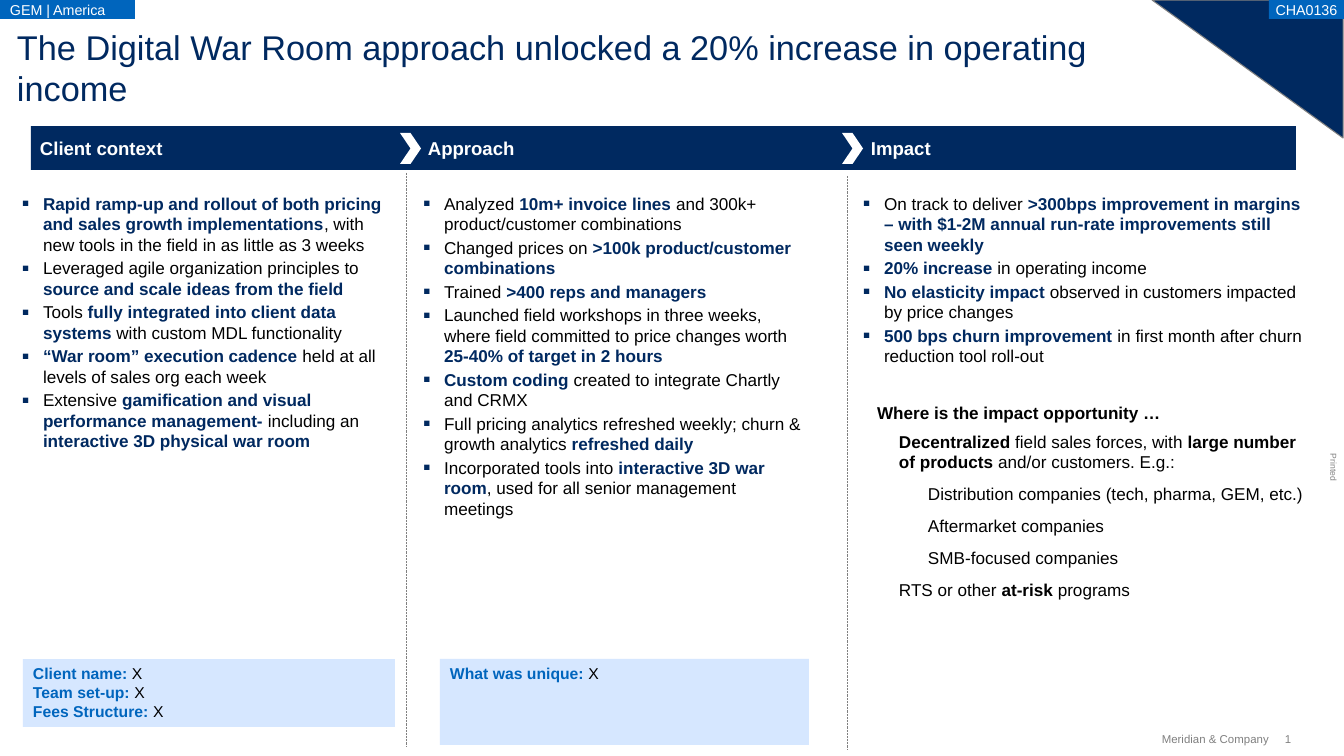
from dataclasses import dataclass

from lxml.etree import SubElement
from pptx import Presentation
from pptx.dml.color import RGBColor
from pptx.enum.dml import MSO_LINE
from pptx.enum.shapes import MSO_CONNECTOR, MSO_SHAPE
from pptx.enum.text import MSO_ANCHOR, PP_ALIGN
from pptx.oxml.ns import qn
from pptx.util import Pt

PX = 8890
NAVY, BLUE, PALE = "002960", "0065BD", "D6E7FF"
BLACK, WHITE, GREY = "000000", "FFFFFF", "808080"


@dataclass
class Box:
    left: int
    top: int
    width: int
    height: int

    def emu(self) -> list[int]:
        return [value * PX for value in (self.left, self.top, self.width, self.height)]


@dataclass
class Column:
    heading: str
    heading_left: int
    heading_width: int
    body: Box
    bullets: list[str]


@dataclass
class Divider:
    chevron_left: int
    line_left: int
    line_top: int
    line_bottom: int


@dataclass
class Note:
    box: Box
    lines: list[str]


@dataclass
class Tag:
    box: Box
    text: str
    align: PP_ALIGN


COLUMNS = [
    Column("Client context", 40, 299, Box(22, 193, 370, 262), [
        "**Rapid ramp-up and rollout of both pricing and sales growth implementations**"
        ", with new tools in the field in as little as 3 weeks",
        "Leveraged agile organization principles to **source and scale ideas from the field**",
        "Tools** fully integrated into client data systems **with custom MDL functionality",
        "**“War room” execution cadence **held at all levels of sales org each week",
        "Extensive **gamification and visual performance management- **including an "
        "**interactive 3D physical war room**",
    ]),
    Column("Approach", 428, 359, Box(423, 193, 387, 331), [
        "Analyzed **10m+ invoice lines **and 300k+ product/customer combinations",
        "Changed prices on **>100k product/customer combinations**",
        "Trained **>400 reps and managers**",
        "Launched field workshops in three weeks, where field committed to price changes "
        "worth **25-40% of target in 2 hours**",
        "**Custom coding **created to integrate Chartly and CRMX",
        "Full pricing analytics refreshed weekly; churn & growth analytics **refreshed daily**",
        "Incorporated tools into** interactive 3D war room**"
        ", used for all senior management meetings",
    ]),
    Column("Impact", 871, 326, Box(863, 193, 442, 176), [
        "On track to deliver **>300bps improvement in margins – with $1-2M annual run-rate "
        "improvements still seen weekly**",
        "**20% increase **in operating income",
        "**No elasticity impact **observed in customers impacted by price changes",
        "**500 bps churn improvement **in first month after churn reduction tool roll-out",
    ]),
]
DIVIDERS = [Divider(400, 406, 173, 746), Divider(842, 847, 176, 750)]
NOTES = [
    Note(Box(23, 659, 372, 68), ["**Client name: **X", "**Team set-up: **X", "**Fees Structure: **X"]),
    Note(Box(440, 659, 369, 86), ["**What was unique: **X"]),
]
TAGS = [
    Tag(Box(1269, 0, 75, 19), "CHA0136", PP_ALIGN.CENTER),
    Tag(Box(0, 0, 135, 19), "GEM | America", PP_ALIGN.LEFT),
]
OPPORTUNITIES = [
    "**Decentralized **field sales forces, with **large number of products **and/or customers. E.g.:",
    "Distribution companies (tech, pharma, GEM, etc.)",
    "Aftermarket companies",
    "SMB-focused companies",
    "RTS or other **at-risk** programs",
]
OPPORTUNITY_INDENTS = [22, 51, 51, 51, 22]


def rgb(color: str) -> RGBColor:
    """Turn a hex string into a colour."""
    return RGBColor.from_string(color)


def add_bullet(properties) -> None:
    """Give a paragraph a navy square bullet."""
    color = SubElement(properties, qn("a:buClr"))
    SubElement(color, qn("a:srgbClr"), val=NAVY)
    SubElement(properties, qn("a:buSzPct"), val="125000")
    SubElement(properties, qn("a:buFont"), typeface="Arial")
    SubElement(properties, qn("a:buChar"), char="▪")


def write(shape, lines: list[str], *, size: float = 12, color: str = BLACK,
          bold_color: str = "", align: PP_ALIGN = PP_ALIGN.LEFT,
          anchor: MSO_ANCHOR = MSO_ANCHOR.TOP, insets: tuple = (0, 0, 0, 0),
          wrap: bool = True, bullet: bool = False, indents: tuple | list = (),
          gap: float = 0):
    """Fill a shape with paragraphs, where double asterisks switch bold on and off."""
    frame = shape.text_frame
    frame.word_wrap = wrap
    frame.vertical_anchor = anchor
    (frame.margin_left, frame.margin_top,
     frame.margin_right, frame.margin_bottom) = [inset * PX for inset in insets]
    for index, line in enumerate(lines):
        paragraph = frame.paragraphs[0] if index == 0 else frame.add_paragraph()
        paragraph.alignment = align
        if index and gap:
            paragraph.space_before = Pt(gap)
        properties = paragraph._p.get_or_add_pPr()
        if indents:
            properties.set("marL", str(indents[index] * PX))
        if bullet:
            properties.set("indent", str(-indents[index] * PX))
            add_bullet(properties)
        for position, part in enumerate(line.split("**")):
            if part:
                run = paragraph.add_run()
                run.text = part
                run.font.name = "Arial"
                run.font.size = Pt(size)
                run.font.bold = position % 2 == 1
                run.font.color.rgb = rgb(bold_color or color if run.font.bold else color)
    return shape


def add_text(slide, box: Box, lines: list[str], **text_format):
    """Add a text box with formatted text."""
    return write(slide.shapes.add_textbox(*box.emu()), lines, **text_format)


def add_block(slide, kind: MSO_SHAPE, box: Box, fill: str):
    """Add a filled shape without outline or shadow."""
    shape = slide.shapes.add_shape(kind, *box.emu())
    shape.shadow.inherit = False
    shape.fill.solid()
    shape.fill.fore_color.rgb = rgb(fill)
    shape.line.fill.background()
    return shape


def add_divider(slide, divider: Divider) -> None:
    """Add a header chevron and the dotted line below it."""
    add_block(slide, MSO_SHAPE.CHEVRON, Box(divider.chevron_left, 133, 21, 31), WHITE)
    line = slide.shapes.add_connector(
        MSO_CONNECTOR.STRAIGHT, divider.line_left * PX, divider.line_top * PX,
        divider.line_left * PX, divider.line_bottom * PX)
    line.line.color.rgb = rgb(GREY)
    line.line.width = Pt(0.5)
    line.line.dash_style = MSO_LINE.ROUND_DOT
    SubElement(line._element.spPr, qn("a:effectLst"))


def add_frame(slide) -> None:
    """Add the corner, footer, title and tags."""
    corner = add_block(slide, MSO_SHAPE.RIGHT_TRIANGLE, Box(1152, 0, 191, 138), NAVY)
    corner.rotation = 180
    corner.line.color.rgb = rgb(GREY)
    corner.line.width = Pt(0.75)
    printed = add_text(slide, Box(1320, 463, 28, 10), ["Printed"], size=6, color=GREY, wrap=False)
    printed.rotation = 90
    footer = {"size": 8, "color": GREY, "anchor": MSO_ANCHOR.MIDDLE, "wrap": False}
    add_text(slide, Box(1285, 732, 14, 13), ["1"], **footer)
    add_text(slide, Box(1155, 732, 114, 13), ["Meridian & Company"], align=PP_ALIGN.RIGHT, **footer)
    add_text(slide, Box(17, 26, 1088, 41),
             ["The Digital War Room approach unlocked a 20% increase in operating income"],
             size=24, color=NAVY)
    for tag in TAGS:
        write(add_block(slide, MSO_SHAPE.RECTANGLE, tag.box, BLUE), [tag.text], size=10,
              color=WHITE, align=tag.align, anchor=MSO_ANCHOR.MIDDLE,
              insets=(10, 0, 10, 0), wrap=False)


def main() -> None:
    """Build and save the slide."""
    presentation = Presentation()
    presentation.slide_width, presentation.slide_height = 1344 * PX, 756 * PX
    slide = presentation.slides.add_slide(presentation.slide_layouts[6])
    add_frame(slide)
    add_block(slide, MSO_SHAPE.RECTANGLE, Box(31, 126, 1265, 44), NAVY)
    for column in COLUMNS:
        add_text(slide, Box(column.heading_left, 136, column.heading_width, 25),
                 [f"**{column.heading}**"], size=13, color=WHITE,
                 anchor=MSO_ANCHOR.BOTTOM, insets=(0, 0, 0, 2))
        add_text(slide, column.body, column.bullets, bold_color=NAVY, bullet=True,
                 indents=[21] * len(column.bullets), gap=2)
    for divider in DIVIDERS:
        add_divider(slide, divider)
    add_text(slide, Box(877, 402, 427, 21), ["**Where is the impact opportunity …**"],
             anchor=MSO_ANCHOR.BOTTOM)
    add_text(slide, Box(877, 431, 427, 171), OPPORTUNITIES, indents=OPPORTUNITY_INDENTS, gap=8)
    for note in NOTES:
        write(add_block(slide, MSO_SHAPE.RECTANGLE, note.box, PALE), note.lines, size=11,
              bold_color=BLUE, insets=(10, 5, 10, 5))
    presentation.save("out.pptx")


if __name__ == "__main__":
    main()
